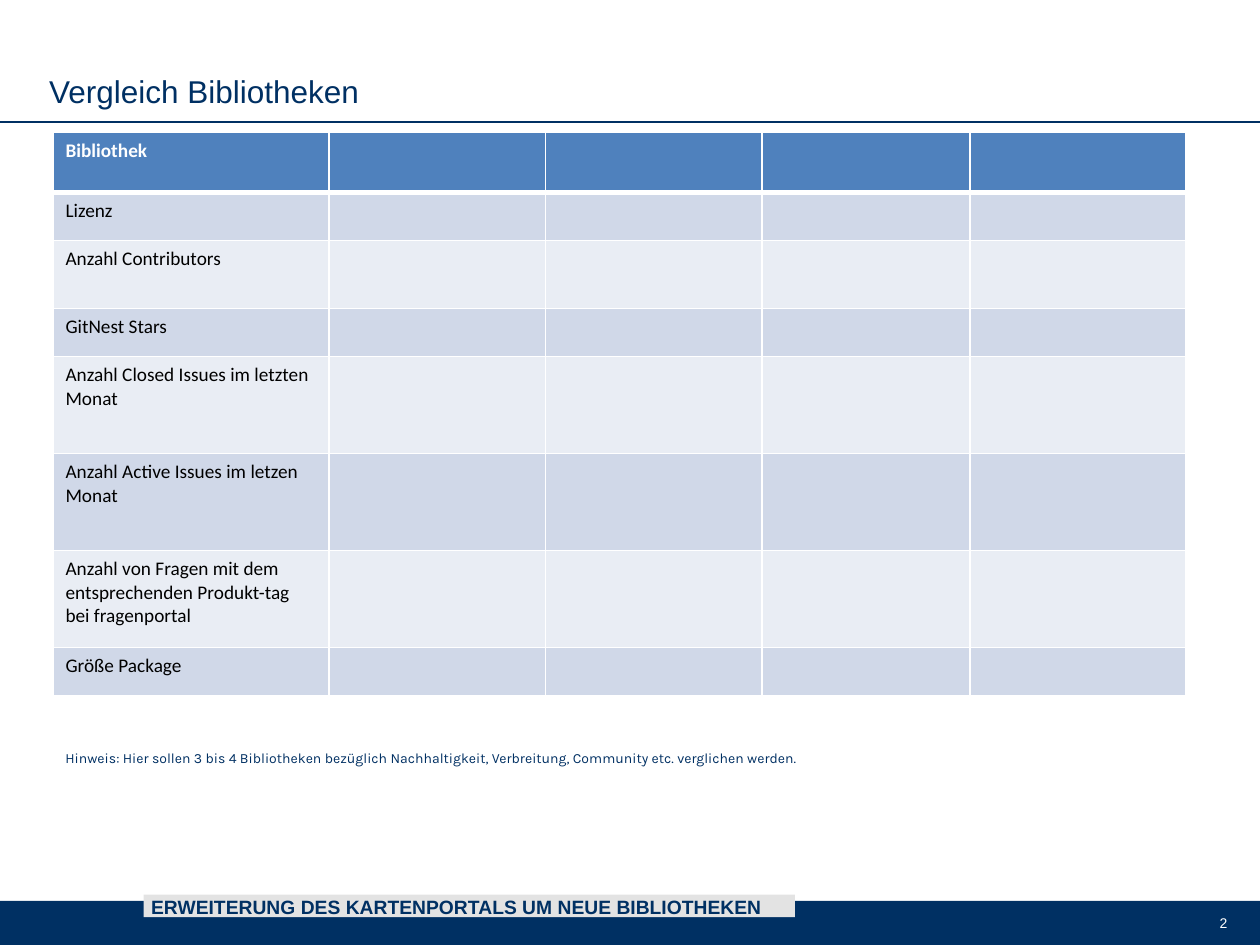
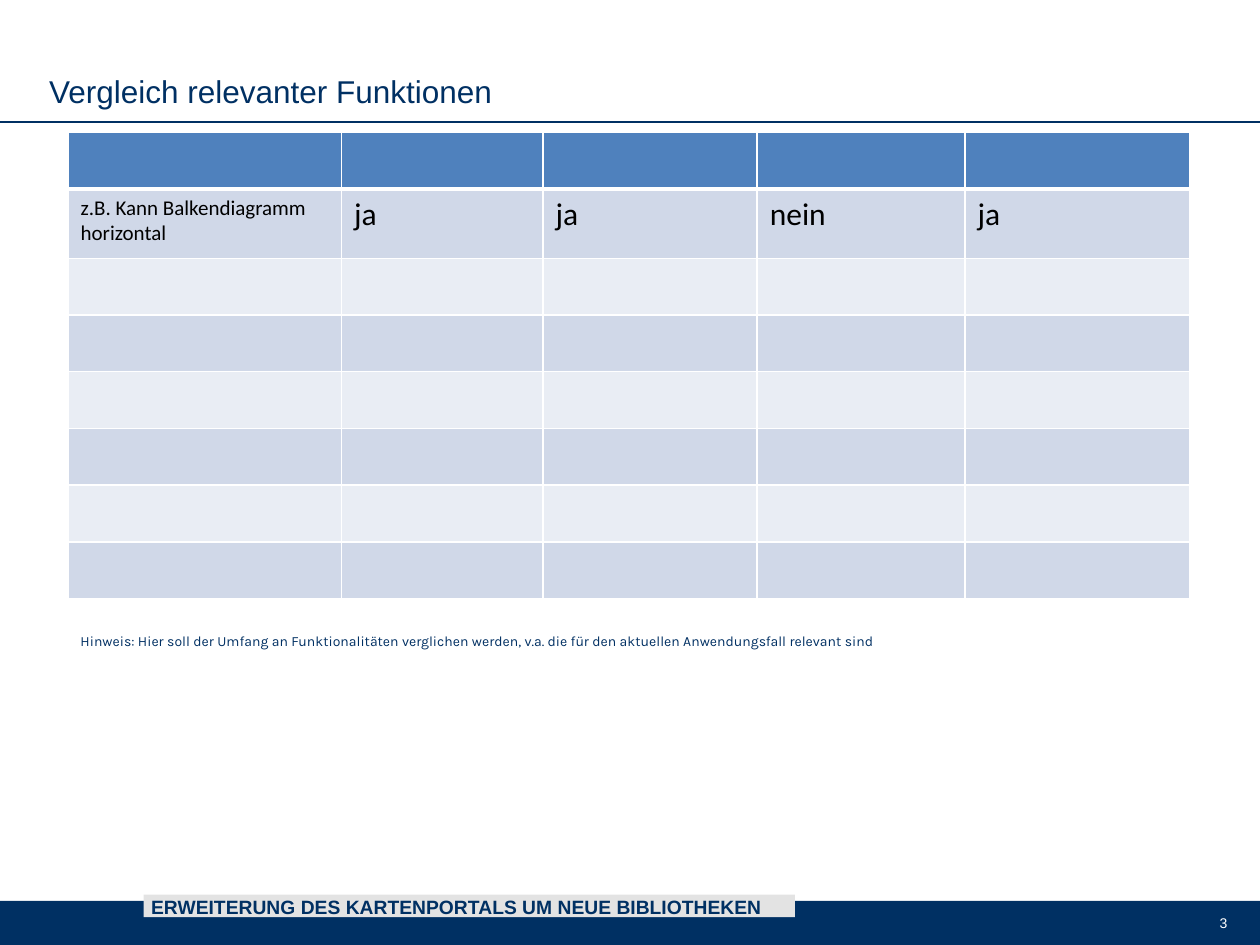
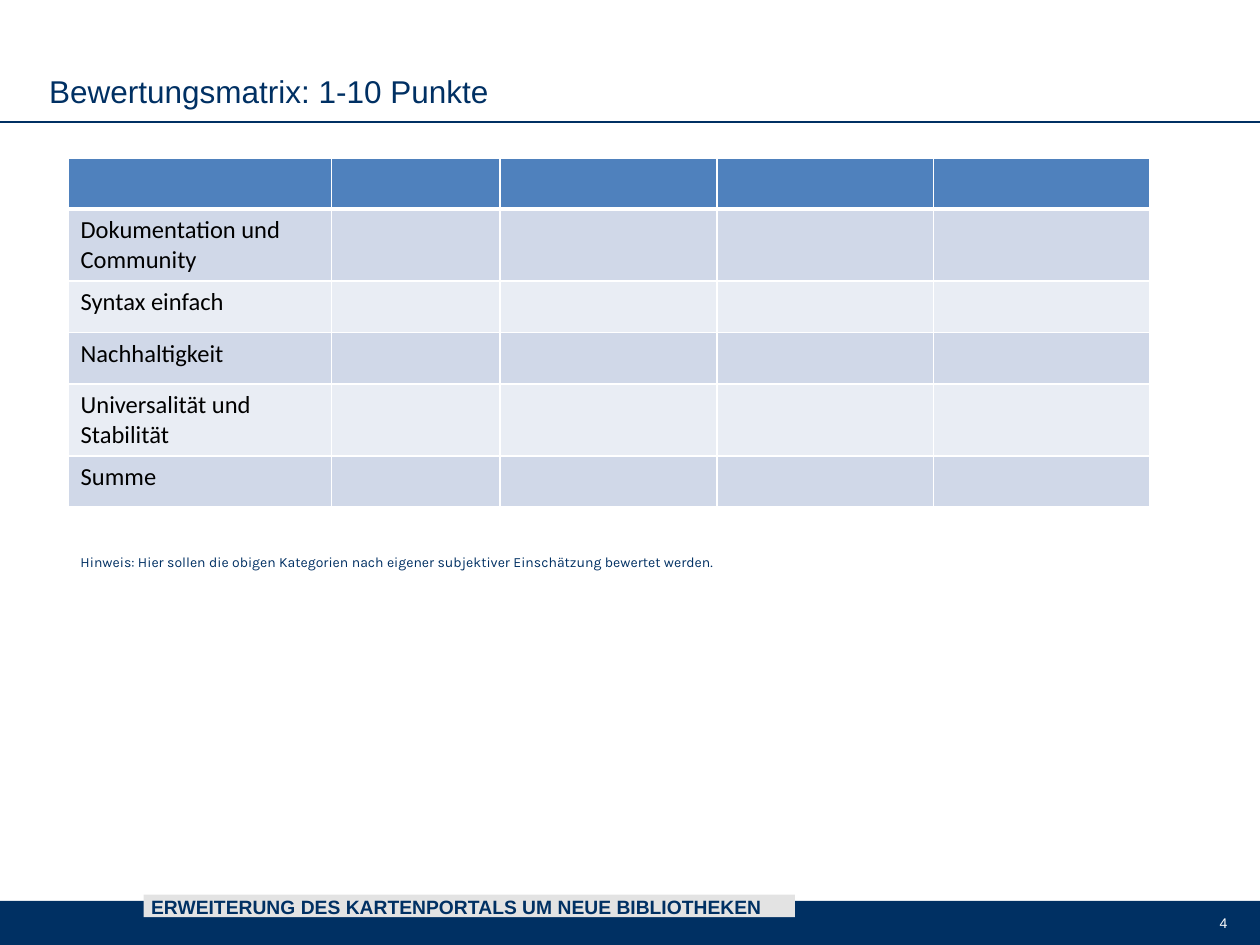
from dataclasses import dataclass
from typing import Any

from lxml.etree import SubElement
from pptx import Presentation
from pptx.dml.color import RGBColor
from pptx.enum.shapes import MSO_CONNECTOR, MSO_SHAPE
from pptx.enum.text import MSO_ANCHOR, PP_ALIGN
from pptx.oxml.ns import qn
from pptx.util import Inches, Pt


@dataclass(frozen=True)
class Theme:
    navy: str = "003063"
    white: str = "FFFFFF"
    black: str = "000000"
    label_gray: str = "E3E3E3"
    header_blue: str = "4F81BD"
    band_dark: str = "D0D8E8"
    band_light: str = "E9EDF4"
    heading_font: str = "Arial"
    table_font: str = "Calibri"
    hint_font: str = "Karla"
    title_size: int = 18
    label_size: int = 11
    value_size: int = 18
    small_size: int = 8
    rule: float = 1
    header_rule: float = 3


@dataclass(frozen=True)
class Box:
    left: float
    top: float
    width: float
    height: float


@dataclass(frozen=True)
class Row:
    height: float
    texts: tuple[str, ...] = ()


@dataclass(frozen=True)
class TableSlide:
    title: str
    hint: str
    hint_top: float
    left: float
    top: float
    columns: tuple[float, ...]
    rows: tuple[Row, ...]
    label_size: int


THEME = Theme()
FOOTER_TEXT = "ERWEITERUNG DES KARTENPORTALS UM NEUE BIBLIOTHEKEN"
FIRST_NUMBER = 2
SLIDE_WIDTH, SLIDE_HEIGHT = 10, 7.5
RULE_Y = 0.97
TITLE_BOX = Box(0.29, 0.52, 8.59, 0.4)
FOOTER_BAND = Box(0, 7.15, SLIDE_WIDTH, 0.35)
FOOTER_LABEL = Box(1.14, 7.1, 5.17, 0.18)
NUMBER_BOX = Box(8.73, 7.21, 1.11, 0.26)
HINT_WIDTH, HINT_HEIGHT = 8.59, 0.24

HEADING = {"name": THEME.heading_font, "size": Pt(THEME.title_size), "color": THEME.navy}
LABEL = HEADING | {"size": Pt(THEME.label_size), "bold": True}
NUMBER = HEADING | {"size": Pt(THEME.small_size), "color": THEME.white}
HINT = {"name": THEME.hint_font, "size": Pt(THEME.small_size), "color": THEME.navy}
CELL = {"name": THEME.table_font, "color": THEME.black, "bold": False}
HEADER_CELL = CELL | {"color": THEME.white, "bold": True}

SLIDES = (
    TableSlide(
        title="Vergleich Bibliotheken",
        hint="Hinweis: Hier sollen 3 bis 4 Bibliotheken bezüglich Nachhaltigkeit, "
             "Verbreitung, Community etc. verglichen werden.",
        hint_top=5.9, left=0.42, top=1.05,
        columns=(2.19, 1.72, 1.72, 1.65, 1.71),
        rows=(
            Row(0.48, ("Bibliothek",)),
            Row(0.38, ("Lizenz",)),
            Row(0.54, ("Anzahl Contributors",)),
            Row(0.38, ("GitNest Stars",)),
            Row(0.77, ("Anzahl Closed Issues im letzten Monat",)),
            Row(0.77, ("Anzahl Active Issues im letzen Monat",)),
            Row(0.77, ("Anzahl von Fragen mit dem entsprechenden Produkt-tag "
                       "bei fragenportal",)),
            Row(0.38, ("Größe Package",)),
        ),
        label_size=11,
    ),
    TableSlide(
        title="Vergleich relevanter Funktionen",
        hint="Hinweis: Hier soll der Umfang an Funktionalitäten verglichen werden, "
             "v.a. die für den aktuellen Anwendungsfall relevant sind",
        hint_top=4.97, left=0.54, top=1.05,
        columns=(2.17, 1.6, 1.7, 1.65, 1.78),
        rows=(
            Row(0.45),
            Row(0.55, ("z.B. Kann Balkendiagramm horizontal", "ja", "ja", "nein", "ja")),
            *[Row(0.45)] * 6,
        ),
        label_size=12,
    ),
    TableSlide(
        title="Bewertungsmatrix: 1-10 Punkte",
        hint="Hinweis: Hier sollen die obigen Kategorien nach eigener subjektiver "
             "Einschätzung bewertet werden.",
        hint_top=4.34, left=0.54, top=1.26,
        columns=(2.09, 1.34, 1.72, 1.72, 1.72),
        rows=(
            Row(0.4),
            Row(0.57, ("Dokumentation und Community",)),
            Row(0.41, ("Syntax einfach",)),
            Row(0.41, ("Nachhaltigkeit",)),
            Row(0.57, ("Universalität und Stabilität",)),
            Row(0.4, ("Summe",)),
        ),
        label_size=14,
    ),
)


def lengths(box: Box) -> tuple[int, ...]:
    return tuple(Inches(value) for value in (box.left, box.top, box.width, box.height))


def set_fill(target: Any, color: str) -> None:
    target.fill.solid()
    target.fill.fore_color.rgb = RGBColor.from_string(color)


def write_text(text_frame: Any, text: str, font: dict[str, Any],
               align: PP_ALIGN = PP_ALIGN.LEFT) -> None:
    paragraph = text_frame.paragraphs[0]
    paragraph.alignment = align
    run = paragraph.add_run()
    run.text = text
    for name, value in font.items():
        if name == "color":
            run.font.color.rgb = RGBColor.from_string(value)
        else:
            setattr(run.font, name, value)


def add_rectangle(slide: Any, box: Box, color: str) -> Any:
    shape = slide.shapes.add_shape(MSO_SHAPE.RECTANGLE, *lengths(box))
    shape.shadow.inherit = False
    set_fill(shape, color)
    shape.line.fill.background()
    return shape


def add_text(slide: Any, box: Box, text: str, font: dict[str, Any],
             align: PP_ALIGN = PP_ALIGN.LEFT) -> None:
    text_frame = slide.shapes.add_textbox(*lengths(box)).text_frame
    text_frame.word_wrap = True
    write_text(text_frame, text, font, align)


def add_title(slide: Any, text: str) -> None:
    title = slide.shapes.title
    title.left, title.top, title.width, title.height = lengths(TITLE_BOX)
    title.text_frame.vertical_anchor = MSO_ANCHOR.BOTTOM
    write_text(title.text_frame, text, HEADING)


def add_frame(slide: Any, number: int) -> None:
    """Draw the title rule, the footer band, its label and the slide number."""
    add_rectangle(slide, FOOTER_BAND, THEME.navy)
    rule = slide.shapes.add_connector(
        MSO_CONNECTOR.STRAIGHT, 0, Inches(RULE_Y), Inches(SLIDE_WIDTH), Inches(RULE_Y))
    rule.line.color.rgb = RGBColor.from_string(THEME.navy)
    rule.line.width = Pt(THEME.rule)
    SubElement(rule._element.spPr, qn("a:effectLst"))
    add_text(slide, NUMBER_BOX, str(number), NUMBER, PP_ALIGN.RIGHT)

    text_frame = add_rectangle(slide, FOOTER_LABEL, THEME.label_gray).text_frame
    margins = {"margin_left": 0.06, "margin_top": 0.01, "margin_right": 0, "margin_bottom": 0}
    for name, value in margins.items():
        setattr(text_frame, name, Inches(value))
    text_frame.vertical_anchor = MSO_ANCHOR.MIDDLE
    write_text(text_frame, FOOTER_TEXT, LABEL)


def set_borders(cell: Any, row_index: int) -> None:
    """Rule the cell in white, with a heavier line below the header row."""
    widths = {
        "a:lnL": THEME.rule,
        "a:lnR": THEME.rule,
        "a:lnT": THEME.header_rule if row_index == 1 else THEME.rule,
        "a:lnB": THEME.header_rule if row_index == 0 else THEME.rule,
    }
    properties = cell._tc.get_or_add_tcPr()
    for tag, width in widths.items():
        line = SubElement(properties, qn(tag), w=str(Pt(width)))
        SubElement(SubElement(line, qn("a:solidFill")), qn("a:srgbClr"), val=THEME.white)


def row_color(row_index: int) -> str:
    if row_index == 0:
        return THEME.header_blue
    return THEME.band_dark if row_index % 2 else THEME.band_light


def fill_cell(cell: Any, row_index: int, text: str, size: int) -> None:
    set_borders(cell, row_index)
    set_fill(cell, row_color(row_index))
    if text:
        font = CELL if row_index else HEADER_CELL
        write_text(cell.text_frame, text, font | {"size": Pt(size)})
    else:
        paragraph = cell.text_frame.paragraphs[0]._p
        SubElement(paragraph, qn("a:endParaRPr"), sz=str(size * 100))


def add_data_table(slide: Any, content: TableSlide) -> None:
    box = Box(content.left, content.top, sum(content.columns),
              sum(row.height for row in content.rows))
    table = slide.shapes.add_table(
        len(content.rows), len(content.columns), *lengths(box)).table
    table.horz_banding = False
    for column, width in zip(table.columns, content.columns):
        column.width = Inches(width)
    for row_index, row in enumerate(content.rows):
        table.rows[row_index].height = Inches(row.height)
        for column_index in range(len(content.columns)):
            text = row.texts[column_index] if column_index < len(row.texts) else ""
            size = THEME.value_size if text and column_index else content.label_size
            fill_cell(table.cell(row_index, column_index), row_index, text, size)


def main() -> None:
    presentation = Presentation()
    presentation.slide_width = Inches(SLIDE_WIDTH)
    presentation.slide_height = Inches(SLIDE_HEIGHT)
    title_only = presentation.slide_layouts.get_by_name("Title Only")
    for number, content in enumerate(SLIDES, FIRST_NUMBER):
        slide = presentation.slides.add_slide(title_only)
        add_frame(slide, number)
        add_title(slide, content.title)
        add_data_table(slide, content)
        hint_box = Box(content.left, content.hint_top, HINT_WIDTH, HINT_HEIGHT)
        add_text(slide, hint_box, content.hint, HINT)
    presentation.save("out.pptx")


if __name__ == "__main__":
    main()
